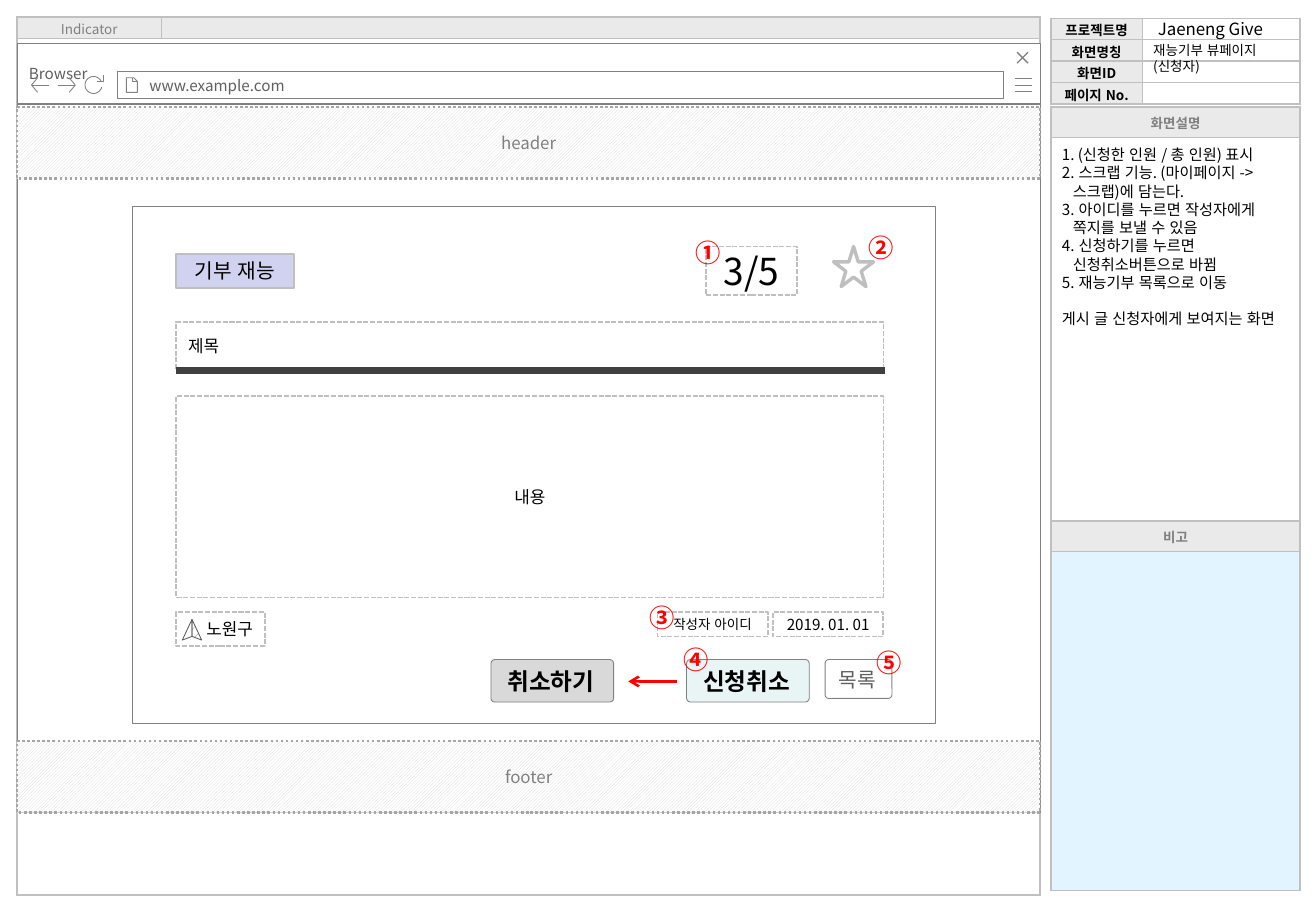
from math import cos, radians, sin

from lxml.etree import SubElement
from pptx import Presentation
from pptx.dml.color import RGBColor
from pptx.enum.dml import MSO_LINE, MSO_PATTERN
from pptx.enum.lang import MSO_LANGUAGE_ID
from pptx.enum.shapes import MSO_CONNECTOR, MSO_SHAPE
from pptx.enum.text import MSO_ANCHOR, MSO_AUTO_SIZE, PP_ALIGN
from pptx.oxml.ns import qn
from pptx.util import Pt

PX = 9144  # 100 px to the inch
FONT = "Noto Sans CJK KR"
BLACK = RGBColor(0x00, 0x00, 0x00)
WHITE = RGBColor(0xFF, 0xFF, 0xFF)
RED = RGBColor(0xFF, 0x00, 0x00)
DARK = RGBColor(0x40, 0x40, 0x40)
SLATE = RGBColor(0x5F, 0x5F, 0x5F)
GRAY = RGBColor(0x80, 0x80, 0x80)
DOTS = RGBColor(0xA6, 0xA6, 0xA6)
DASH = RGBColor(0xBF, 0xBF, 0xBF)
GRID = RGBColor(0xC0, 0xC0, 0xC0)
HATCH = RGBColor(0xD9, 0xD9, 0xD9)
HEAD = RGBColor(0xEA, 0xEA, 0xEA)
LILAC = RGBColor(0xD1, 0xD1, 0xF0)
MINT = RGBColor(0xE9, 0xF4, 0xF5)
SKY = RGBColor(0xE1, 0xF4, 0xFF)
LEFT, MID, RIGHT = PP_ALIGN.LEFT, PP_ALIGN.CENTER, PP_ALIGN.RIGHT
SIDES = ("margin_left", "margin_top", "margin_right", "margin_bottom")


def emu(*lengths):
    return [round(n * PX) for n in lengths]


def assign(target, values):
    for name, value in values.items():
        setattr(target, name, value)


def write(frame, text, size, color=BLACK, bold=False, align=MID):
    """Put each line of text in its own paragraph."""
    for n, line in enumerate(text.split("\n")):
        para = frame.paragraphs[0] if n == 0 else frame.add_paragraph()
        assign(para, {"alignment": align, "line_spacing": Pt(size * 1.2)})
        run = para.add_run()
        run.text = line
        run.font.color.rgb = color
        assign(run.font, {"size": Pt(size), "bold": bold, "name": FONT,
                          "language_id": MSO_LANGUAGE_ID.KOREAN})
        SubElement(run.font._element, qn("a:ea"), typeface=FONT)


def frame_up(frame, inset=(10, 5, 10, 5), anchor=MSO_ANCHOR.MIDDLE):
    assign(frame, {"word_wrap": True, "auto_size": MSO_AUTO_SIZE.NONE,
                   "vertical_anchor": anchor})
    assign(frame, dict(zip(SIDES, emu(*inset))))
    return frame


def paint(shape, fill=None, line=None, width=0.5, dash=None):
    shape.shadow.inherit = False
    if fill is None:
        shape.fill.background()
    else:
        shape.fill.solid()
        shape.fill.fore_color.rgb = fill
    if line is None:
        shape.line.fill.background()
    else:
        shape.line.color.rgb = line
        assign(shape.line, {"width": Pt(width), "dash_style": dash})


def block(shapes, box, kind=MSO_SHAPE.RECTANGLE, inset=(10, 5, 10, 5), **look):
    shape = shapes.add_shape(kind, *emu(*box))
    paint(shape, **look)
    if kind == MSO_SHAPE.ROUNDED_RECTANGLE:
        shape.adjustments[0] = 0.09
    frame_up(shape.text_frame, inset)
    return shape


def hatch(shape, pattern, fore):
    shape.fill.patterned()
    shape.fill.pattern = pattern
    shape.fill.fore_color.rgb = fore
    shape.fill.back_color.rgb = WHITE


def sketch(shapes, x, y, strokes, width=0.5, close=False, color=GRAY):
    """Draw strokes, each a list of points counted from (x, y)."""
    paths = [[emu(x + a, y + b) for a, b in stroke] for stroke in strokes]
    pen = shapes.build_freeform(*paths[0][0], scale=1.0)
    for n, path in enumerate(paths):
        if n:
            pen.move_to(*path[0])
        pen.add_line_segments(path[1:], close=close)
    shape = pen.convert_to_shape()
    paint(shape, line=color, width=width)
    return shape


def rule(shapes, start, end, color, width):
    line = shapes.add_connector(MSO_CONNECTOR.STRAIGHT, *emu(*start, *end))
    line.line.color.rgb = color
    line.line.width = Pt(width)
    SubElement(line._element.spPr, qn("a:effectLst"))
    return line


def grid(shapes, x, y, cols, rows, fills):
    """Add a ruled table whose fills are listed row by row."""
    table = shapes.add_table(len(rows), len(cols),
                             *emu(x, y, sum(cols), sum(rows))).table
    assign(table, {"first_row": False, "horz_banding": False})
    for col, size in zip(table.columns, cols):
        col.width = size * PX
    for row, size in zip(table.rows, rows):
        row.height = size * PX
    for cell, fill in zip(table.iter_cells(), fills):
        props = cell._tc.get_or_add_tcPr()
        for side in ("lnL", "lnR", "lnT", "lnB"):
            edge = SubElement(props, qn("a:" + side), w=str(Pt(1)))
            solid = SubElement(edge, qn("a:solidFill"))
            SubElement(solid, qn("a:srgbClr"), val=str(GRID))
        cell.fill.solid()
        cell.fill.fore_color.rgb = fill
        assign(cell, dict(zip(SIDES, emu(8, 4, 8, 0))))
        cell.vertical_anchor = MSO_ANCHOR.MIDDLE
        SubElement(cell.text_frame.paragraphs[0]._p, qn("a:endParaRPr"), sz="800")
    return table


def canvas(shapes, box):
    x, y, w, h = box
    table = grid(shapes, x, y, (119, w - 119), (17, h - 17), (HEAD, HEAD, WHITE, WHITE))
    table.cell(1, 0).merge(table.cell(1, 1))
    write(table.cell(0, 0).text_frame, "Indicator", 8, GRAY)


def browser(shapes, box):
    x, y, w, h = box
    bar = block(shapes, box, fill=WHITE, line=GRAY)
    write(bar.text_frame, "Browser", 9, SLATE, align=LEFT)
    sketch(shapes, x + 821, y + 29, [[(0, n), (14, n)] for n in (0, 5, 10)])
    sketch(shapes, x + 823, y + 7, [[(0, 0), (9, 9)], [(9, 0), (0, 9)]], 0.75)
    site = block(shapes, (x + 83, y + 23, w - 113, 22), inset=(26, 5, 10, 5),
                 fill=WHITE, line=GRAY)
    write(site.text_frame, "www.example.com", 9, SLATE, align=LEFT)
    sketch(shapes, x + 90, y + 28, [[(5, 0), (5, 3), (9, 3)],
           [(0, 0), (0, 12), (9, 12), (9, 3), (6, 0), (0, 0)]])
    sketch(shapes, x + 12, y + 28, [[(5, 12), (0, 6), (5, 0)], [(0, 6), (14, 6)]])
    sketch(shapes, x + 34, y + 28, [[(9, 0), (14, 6), (9, 12)], [(14, 6), (0, 6)]])
    arc = [(7 + 7 * cos(radians(a)), 8 + 7 * sin(radians(a))) for a in range(15, 340, 10)]
    sketch(shapes, x + 56, y + 26, [[(15, 0), (15, 5), (10, 5)], arc])


def band(shapes, box, text):
    shape = block(shapes, box, fill=WHITE, line=DOTS, width=1.5, dash=MSO_LINE.ROUND_DOT)
    hatch(shape, MSO_PATTERN.LIGHT_UPWARD_DIAGONAL, HATCH)
    write(shape.text_frame, text, 10, GRAY)


def post(shapes, box):
    x, y = box[:2]
    block(shapes, box, fill=WHITE, line=GRAY)
    tag = block(shapes, (x + 36, y + 39, 97, 28), fill=LILAC, line=DASH, width=1)
    write(tag.text_frame, "기부 재능", 12)
    for left, top, w, h, text, size, align in (
            (36, 95, 582, 40, "제목", 10, LEFT), (472, 33, 75, 40, "3/5", 22, MID),
            (36, 334, 73, 28, "노원구", 10, RIGHT), (527, 334, 91, 20, "2019. 01. 01", 9, MID),
            (36, 156, 582, 166, "내용", 10, MID), (432, 334, 91, 20, "작성자 아이디", 8, MID)):
        field = block(shapes, (x + left, y + top, w, h), line=DASH, width=1,
                      dash=MSO_LINE.SQUARE_DOT)
        write(field.text_frame, text, size, align=align)
    half = sketch(shapes, x + 49, y + 340, [[(0, 0), (8, 17), (0, 14)]], close=True, color=SLATE)
    hatch(half, MSO_PATTERN.PERCENT_20, SLATE)
    sketch(shapes, x + 41, y + 340, [[(8, 0), (0, 17), (8, 14)]], close=True, color=SLATE)
    block(shapes, (x + 577, y + 33, 33, 33), MSO_SHAPE.STAR_5_POINT, line=DASH, width=2)
    rule(shapes, (x + 36, y + 135), (x + 619, y + 135), DARK, 4)
    for left, w, h, fill, text, size, color, bold in (
            (456, 101, 35, MINT, "신청취소", 14, BLACK, True),
            (295, 101, 35, HATCH, "취소하기", 14, BLACK, True),
            (570, 55, 32, WHITE, "목록", 12, SLATE, False)):
        button = block(shapes, (x + left, y + 373, w, h), MSO_SHAPE.ROUNDED_RECTANGLE,
                       inset=(0, 0, 2, 0), fill=fill, line=GRAY)
        write(button.text_frame, text, size, color, bold)
    arrow = rule(shapes, (x + 448, y + 391), (x + 408, y + 391), RED, 1.5)
    SubElement(arrow.line._get_or_add_ln(), qn("a:tailEnd"), type="arrow")
    for mark, left, top in (("①", 459, 20), ("②", 602, 16), ("③", 421, 321),
                            ("④", 449, 355), ("⑤", 608, 358)):
        label = shapes.add_textbox(*emu(x + left, y + top, 29, 35))
        write(frame_up(label.text_frame, (0, 0, 0, 0)), mark, 15, RED, True)


def info(shapes, box):
    x, y, w, h = box
    names = ("프로젝트명", "화면명칭", "화면ID", "페이지 No.")
    table = grid(shapes, x, y, (75, w - 75), [h // 4] * 4, (HEAD, WHITE) * 4)
    for n, name in enumerate(names):
        write(table.cell(n, 0).text_frame, name, 8, bold=True)
    project = block(shapes, (x + 78, y + 3, 118, 11), inset=(10, 0, 10, 0), fill=WHITE)
    write(project.text_frame, "Jaeneng Give", 10, align=LEFT)
    title = shapes.title
    assign(title, dict(zip(("left", "top", "width", "height"), emu(x + 74, y + 21, 137, 24))))
    write(frame_up(title.text_frame), "재능기부 뷰페이지\n(신청자)", 8, align=LEFT)
    shapes._spTree.append(title._element)


def notes(shapes, box):
    x, y, w, h = box
    table = grid(shapes, x, y, (w,), (25, 316, 25, h - 366), (HEAD, WHITE, HEAD, SKY))
    for row, text in ((0, "화면설명"), (2, "비고")):
        write(table.cell(row, 0).text_frame, text, 8, GRAY, True)
    items = (" (신청한 인원 / 총 인원) 표시", " 스크랩 기능. (마이페이지 -> 스크랩)에 담는다.",
             " 아이디를 누르면 작성자에게 쪽지를 보낼 수 있음",
             " 신청하기를 누르면 신청취소버튼으로 바뀜", " 재능기부 목록으로 이동",
             "게시 글 신청자에게 보여지는 화면")
    area = shapes.add_textbox(*emu(x - 1, y + 27, w - 2, 177))
    frame = frame_up(area.text_frame, anchor=MSO_ANCHOR.TOP)
    write(frame, "\n".join(items), 9, align=LEFT)
    *steps, closing = frame.paragraphs
    for step in steps:
        props = step._p.get_or_add_pPr()
        props.set("marL", str(9 * PX))
        props.set("indent", str(-9 * PX))
        SubElement(props, qn("a:buAutoNum"), type="arabicPeriod")
    closing.space_before = Pt(10.8)


def main():
    deck = Presentation()
    deck.slide_width, deck.slide_height = emu(1083, 750)
    shapes = deck.slides.add_slide(deck.slide_layouts[5]).shapes
    canvas(shapes, (14, 14, 842, 722))
    block(shapes, (14, 86, 842, 583), fill=WHITE, line=GRAY)
    browser(shapes, (14, 36, 842, 49))
    for top, text in ((88, "header"), (610, "footer")):
        band(shapes, (14, top, 842, 59), text)
    post(shapes, (109, 170, 661, 426))
    info(shapes, (865, 15, 205, 68))
    notes(shapes, (865, 88, 205, 645))
    deck.save("out.pptx")


if __name__ == "__main__":
    main()
